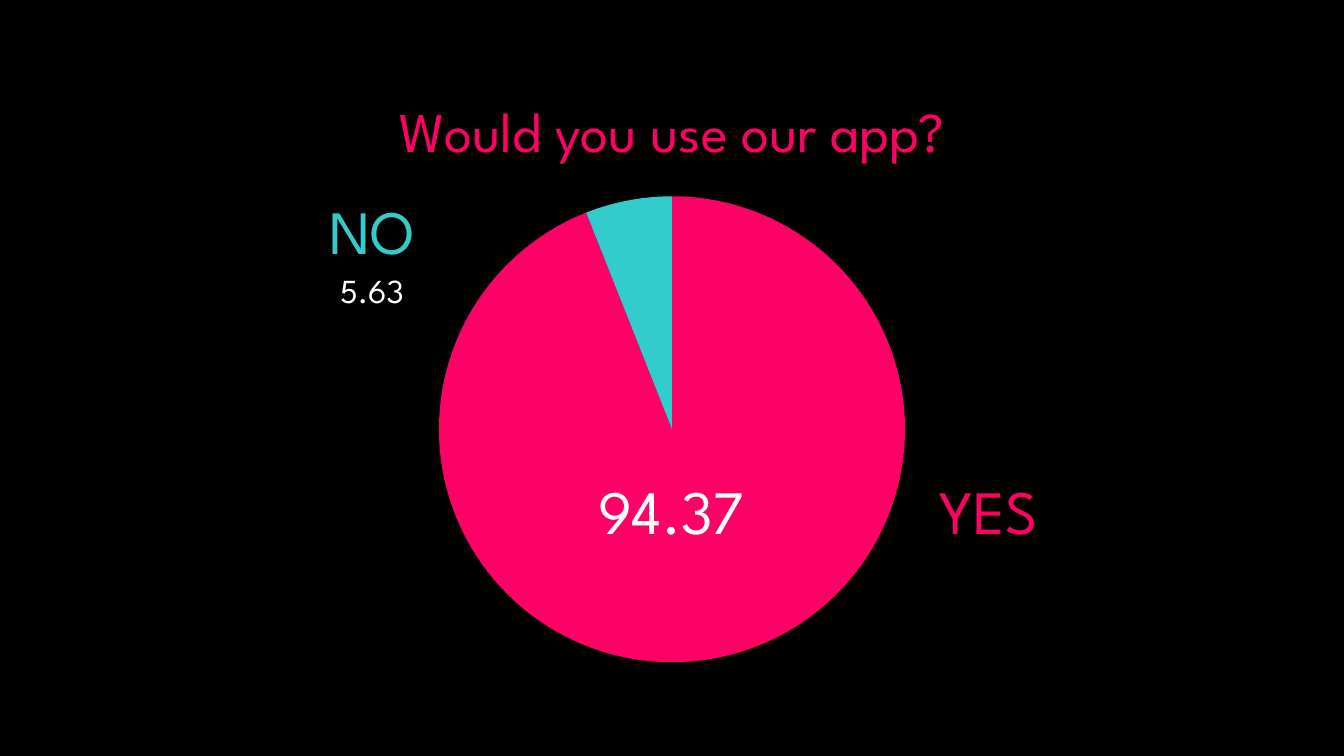
from dataclasses import dataclass

from lxml.etree import fromstring
from pptx import Presentation
from pptx.chart.data import CategoryChartData
from pptx.dml.color import RGBColor
from pptx.enum.chart import XL_CHART_TYPE
from pptx.enum.text import MSO_ANCHOR, PP_ALIGN
from pptx.util import Inches, Pt


@dataclass(frozen=True)
class Theme:
    background: RGBColor = RGBColor(0x00, 0x00, 0x00)
    yes: RGBColor = RGBColor(0xFF, 0x00, 0x66)
    no: RGBColor = RGBColor(0x33, 0xCC, 0xCC)
    value: RGBColor = RGBColor(0xFF, 0xFF, 0xFF)
    font: str = "League Spartan"
    chart_font: str = "Calibri"
    title_size: Pt = Pt(40)
    large_size: Pt = Pt(44)
    small_size: Pt = Pt(24)
    chart_size: Pt = Pt(10)


THEME = Theme()
QUESTION = "Would you use our app?"
SHARES = (94, 6)  # yes, no
PLOT_LAYOUT = {"x": 0.24, "y": 0.19, "w": 0.52, "h": 0.79}


def add_run(paragraph, text, size, color):
    run = paragraph.add_run()
    run.text = text
    run.font.name = THEME.font
    run.font.size = size
    run.font.bold = False
    run.font.color.rgb = color


def add_label(slide, text, left, top, width, height, size, color):
    shape = slide.shapes.add_textbox(
        Inches(left), Inches(top), Inches(width), Inches(height))
    frame = shape.text_frame
    frame.word_wrap = True
    frame.vertical_anchor = MSO_ANCHOR.TOP
    paragraph = frame.paragraphs[0]
    paragraph.alignment = PP_ALIGN.CENTER
    add_run(paragraph, text, size, color)


def place_plot(chart):
    """Fix the pie inside the chart frame, as fractions of the frame."""
    plot_area = chart._chartSpace.chart.plotArea
    for layout in plot_area.findall("{*}layout"):
        plot_area.remove(layout)
    sizes = "".join(
        f'<c:{key} val="{value}"/>' for key, value in PLOT_LAYOUT.items())
    plot_area.insert(0, fromstring(
        '<c:layout xmlns:c="http://schemas.openxmlformats.org/drawingml/2006/chart">'
        '<c:manualLayout><c:layoutTarget val="inner"/>'
        '<c:xMode val="edge"/><c:yMode val="edge"/>'
        f'{sizes}</c:manualLayout></c:layout>'))


def add_answer_pie(slide):
    data = CategoryChartData()
    data.categories = ["1", "2"]
    data.add_series(QUESTION, SHARES)
    chart = slide.shapes.add_chart(
        XL_CHART_TYPE.PIE, Inches(2.22), Inches(0.79),
        Inches(8.89), Inches(5.93), data).chart
    chart.font.name = THEME.chart_font
    chart.font.size = THEME.chart_size
    chart.font.color.rgb = THEME.background
    chart.has_legend = False

    # Chart title
    chart.has_title = True
    chart.chart_title.include_in_layout = False
    add_run(chart.chart_title.text_frame.paragraphs[0],
            QUESTION, THEME.title_size, THEME.yes)

    # Slices
    plot = chart.plots[0]
    plot.vary_by_categories = True
    for index, color in enumerate((THEME.yes, THEME.no)):
        slice_format = plot.series[0].points[index].format
        slice_format.fill.solid()
        slice_format.fill.fore_color.rgb = color
        slice_format.line.fill.background()
    place_plot(chart)


def main():
    presentation = Presentation()
    presentation.slide_width = Inches(13.33)
    presentation.slide_height = Inches(7.5)
    slide = presentation.slides.add_slide(presentation.slide_layouts[6])
    slide.background.fill.solid()
    slide.background.fill.fore_color.rgb = THEME.background

    add_answer_pie(slide)

    # Answers and their shares
    large, small = THEME.large_size, THEME.small_size
    add_label(slide, "NO", 2.71, 1.86, 1.96, 0.69, large, THEME.no)
    add_label(slide, "YES", 8.83, 4.64, 1.96, 0.69, large, THEME.yes)
    add_label(slide, "5.63", 3.14, 2.63, 1.1, 0.65, small, THEME.value)
    add_label(slide, "94.37", 5.68, 4.64, 1.96, 0.75, large, THEME.value)

    presentation.save("out.pptx")


if __name__ == "__main__":
    main()
